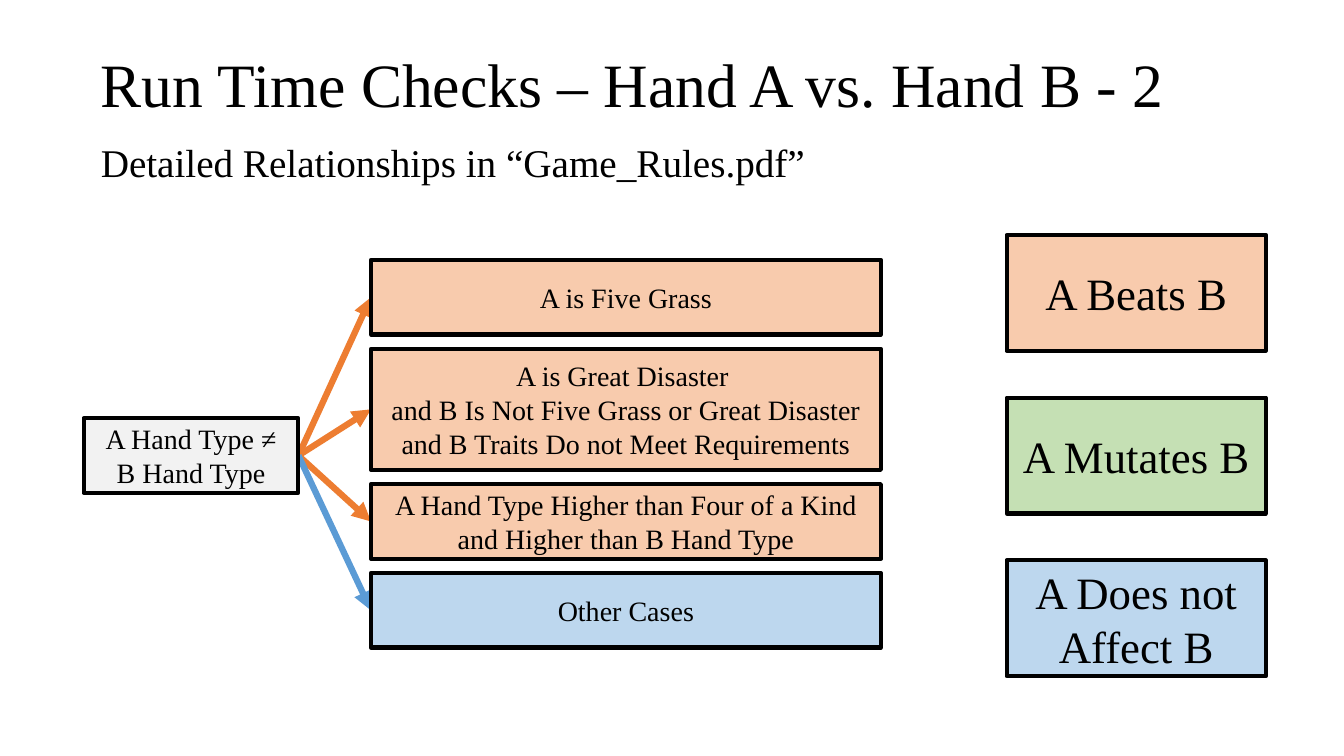
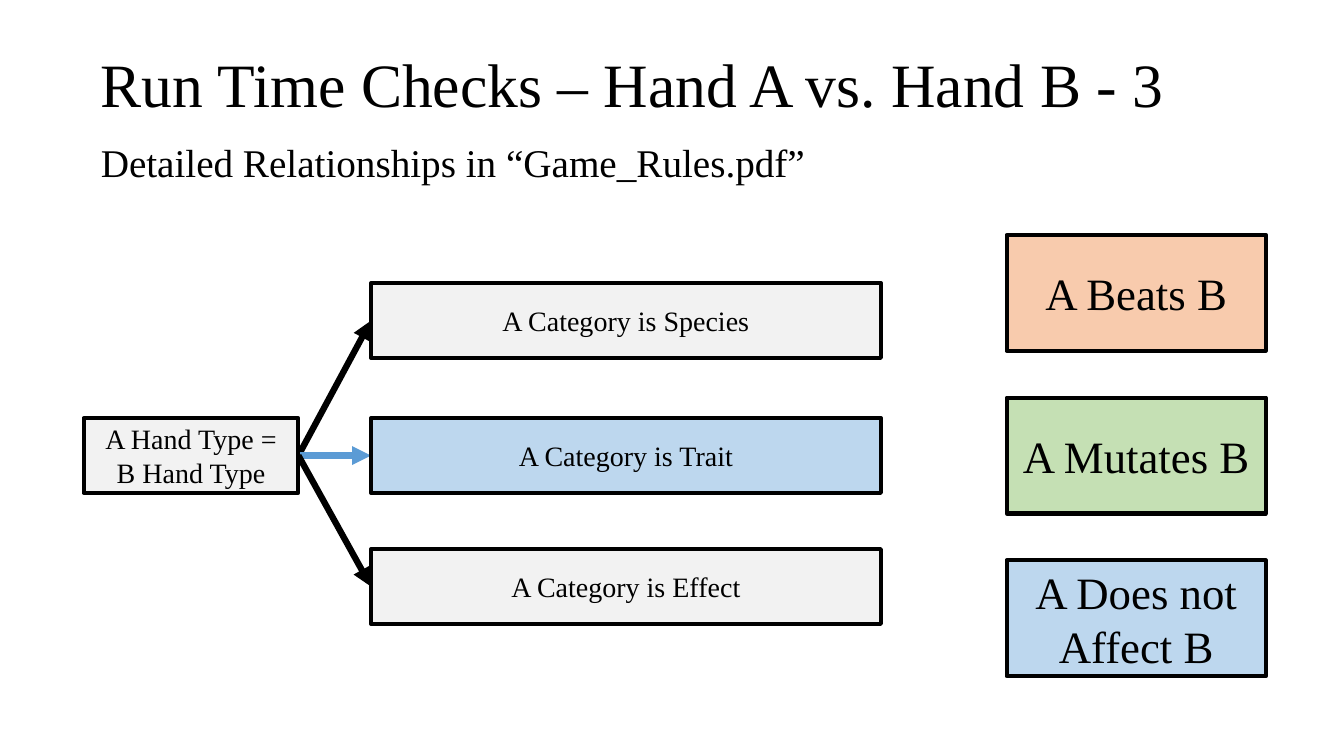
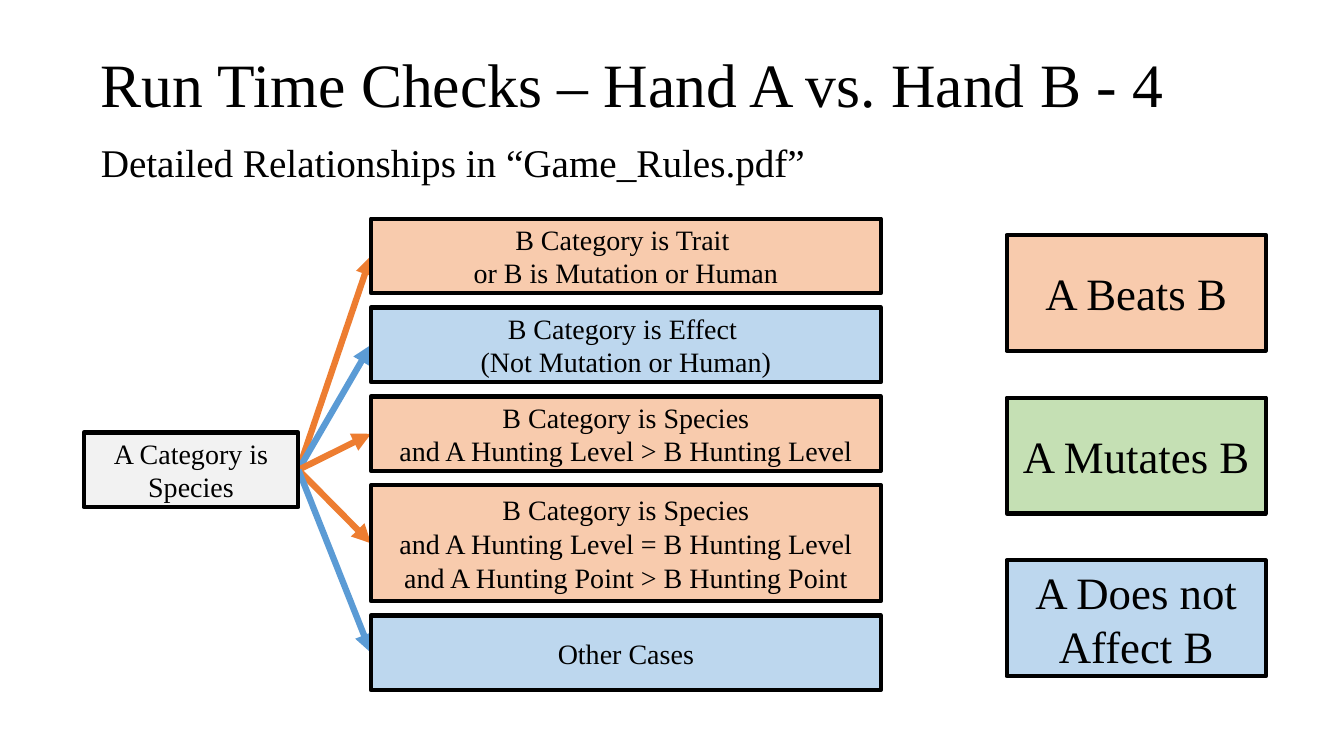
from typing import NamedTuple

from lxml import etree
from pptx import Presentation
from pptx import util as u
from pptx.dml import color
from pptx.enum import shapes, text
from pptx.oxml import ns

FONT = "Times New Roman"
BLACK = "000000"


class Tone(NamedTuple):
    """Fill of a box and colour of the arrow that leads to it."""
    fill: str
    line: str


BEATS = Tone("F8CBAD", "ED7D31")
MUTATES = Tone("C5E0B4", "70AD47")
NONE = Tone("BDD7EE", "5B9BD5")
PLAIN = Tone("F2F2F2", BLACK)


class Box(NamedTuple):
    """Place of a box in centimetres."""
    left: float
    top: float
    width: float
    height: float

    @property
    def mid(self) -> float:
        """Return the height of the centre line."""
        return self.top + self.height / 2


class Case(NamedTuple):
    """One outcome, with the gap that follows it."""
    words: str
    tone: Tone
    height: float = 1.88
    gap: float = 0.36


class Page(NamedTuple):
    """One slide: its number, root box and stack of cases."""
    number: int
    root: str
    level: float
    top: float
    cases: tuple[Case, ...]


TITLE = Box(2.29, 0.36, 29.21, 3.68)
NOTE = Box(2.29, 3.35, 22.17, 1.45)
KEY = Box(25.37, 5.92, 6.53, 2.92)
KEY_STEP = 4.1
KEYS = (("A Beats B", BEATS), ("A Mutates B", MUTATES), ("A Does not Affect B", NONE))
ROOT = Box(2.11, 10.54, 5.41, 1.88)
CASE_LEFT, CASE_WIDTH = 9.35, 12.85

PAGES = (
    Page(2, "A Hand Type ≠ B Hand Type", 10.54, 6.55, (
        Case("A is Five Grass", BEATS),
        Case("A is Great Disaster \nand B Is Not Five Grass or Great Disaster\n"
             "and B Traits Do not Meet Requirements", BEATS, 3.05),
        Case("A Hand Type Higher than Four of a Kind and Higher than B Hand Type", BEATS),
        Case("Other Cases", NONE),
    )),
    Page(3, "A Hand Type = B Hand Type", 10.54, 7.14, (
        Case("A Category is Species", PLAIN, gap=1.52),
        Case("A Category is Trait", NONE, gap=1.42),
        Case("A Category is Effect", PLAIN),
    )),
    Page(4, "A Category is Species", 10.9, 5.51, (
        Case("B Category is Trait \nor B is Mutation or Human", BEATS),
        Case("B Category is Effect \n(Not Mutation or Human)", NONE),
        Case("B Category is Species\nand A Hunting Level > B Hunting Level", BEATS),
        Case("B Category is Species\nand A Hunting Level = B Hunting Level\n"
             "and A Hunting Point > B Hunting Point", BEATS, 2.92),
        Case("Other Cases", NONE),
    )),
)


def paint(target, shade: str) -> None:
    """Give a fill, line or font a solid colour."""
    if hasattr(target, "solid"):
        target.solid()
        target.fore_color.rgb = color.RGBColor.from_string(shade)
    else:
        target.color.rgb = color.RGBColor.from_string(shade)


def span(box: Box) -> tuple[u.Length, ...]:
    """Turn a box into lengths."""
    return tuple(u.Cm(side) for side in box)


def write(frame, words: str, size: float, align=text.PP_ALIGN.LEFT) -> None:
    """Write lines into the first paragraph, one run for each."""
    frame.word_wrap = True
    para = frame.paragraphs[0]
    para.alignment = align
    for count, line in enumerate(words.split("\n")):
        if count:
            para.add_line_break()
        run = para.add_run()
        run.text = line
        run.font.name = FONT
        run.font.size = u.Pt(size)
        paint(run.font, BLACK)


def draw_box(slide, box: Box, words: str, tone: Tone, size: float = 20) -> None:
    """Draw a framed box with centred text."""
    shape = slide.shapes.add_shape(shapes.MSO_SHAPE.RECTANGLE, *span(box))
    shape.shadow.inherit = False
    paint(shape.fill, tone.fill)
    paint(shape.line, BLACK)
    shape.line.width = u.Pt(3)
    shape.text_frame.vertical_anchor = text.MSO_ANCHOR.MIDDLE
    write(shape.text_frame, words, size, text.PP_ALIGN.CENTER)


def draw_arrow(slide, root: Box, goal: Box, shade: str) -> None:
    """Draw an arrow from the root's right side to the goal's left side."""
    ends = (root.left + root.width, root.mid, goal.left, goal.mid)
    arrow = slide.shapes.add_connector(
        shapes.MSO_CONNECTOR.STRAIGHT, *(u.Cm(end) for end in ends))
    paint(arrow.line, shade)
    arrow.line.width = u.Pt(4.5)
    props = arrow.element.spPr
    etree.SubElement(props.find(ns.qn("a:ln")), ns.qn("a:tailEnd"), type="triangle")
    etree.SubElement(props, ns.qn("a:effectLst"))


def draw_head(slide, number: int) -> None:
    """Fill the title and add the note below it."""
    title = slide.shapes.title
    title.left, title.top, title.width, title.height = span(TITLE)
    frame = title.text_frame
    frame.auto_size = text.MSO_AUTO_SIZE.NONE
    frame.vertical_anchor = text.MSO_ANCHOR.MIDDLE
    write(frame, f"Run Time Checks – Hand A vs. Hand B - {number}", 44)
    frame.paragraphs[0].line_spacing = 0.9
    note = slide.shapes.add_textbox(*span(NOTE)).text_frame
    write(note, "Detailed Relationships in “Game_Rules.pdf”", 28)
    note.auto_size = text.MSO_AUTO_SIZE.SHAPE_TO_FIT_TEXT


def stack(page: Page) -> list[Box]:
    """Place the cases one below the other."""
    boxes, top = [], page.top
    for case in page.cases:
        boxes.append(Box(CASE_LEFT, top, CASE_WIDTH, case.height))
        top += case.height + case.gap
    return boxes


def draw_page(deck, page: Page) -> None:
    """Build one slide."""
    slide = deck.slides.add_slide(deck.slide_layouts[5])
    draw_head(slide, page.number)
    root = ROOT._replace(top=page.level)
    boxes = stack(page)
    for case, box in zip(page.cases, boxes):
        draw_arrow(slide, root, box, case.tone.line)
    draw_box(slide, root, page.root, PLAIN)
    for case, box in zip(page.cases, boxes):
        draw_box(slide, box, case.words, case.tone)
    for row, (words, tone) in enumerate(KEYS):
        draw_box(slide, KEY._replace(top=KEY.top + row * KEY_STEP), words, tone, 32)


def main() -> None:
    """Build and save the deck."""
    deck = Presentation()
    deck.slide_width, deck.slide_height = u.Cm(33.87), u.Cm(19.05)
    for page in PAGES:
        draw_page(deck, page)
    deck.save("out.pptx")


if __name__ == "__main__":
    main()
